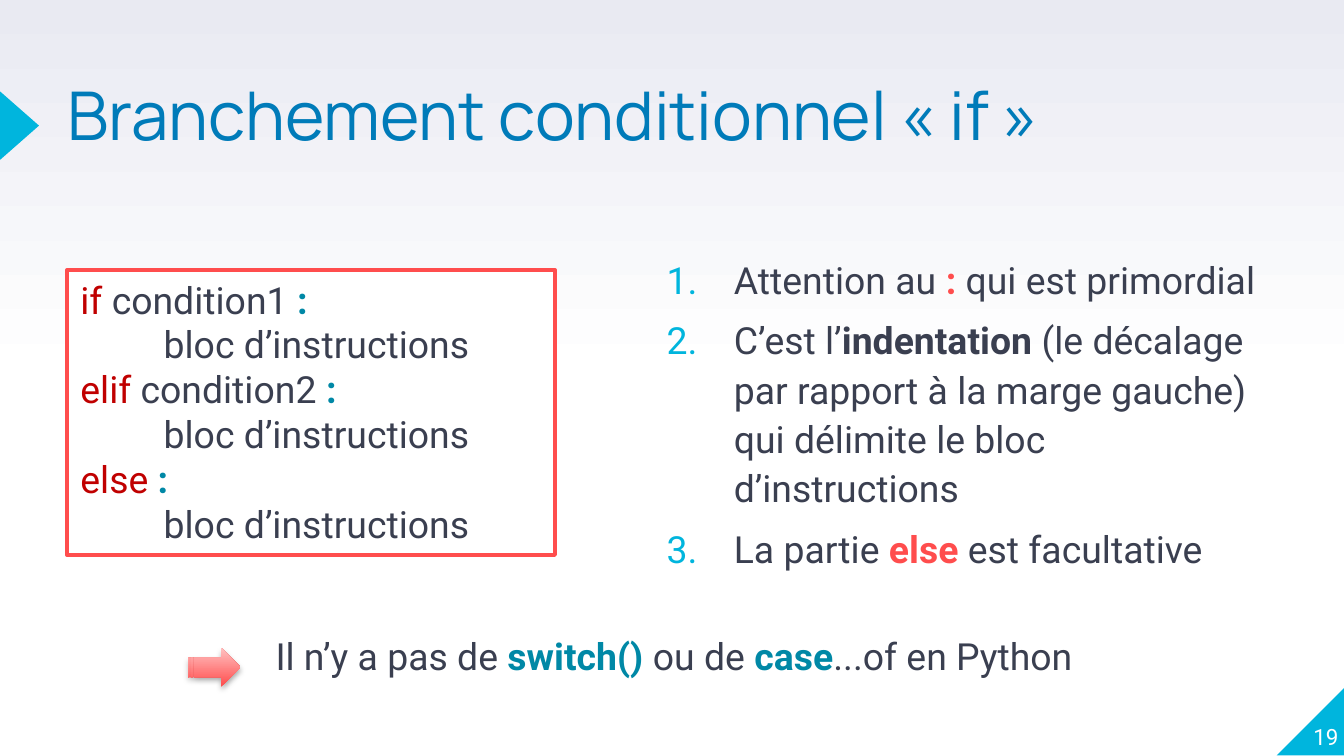
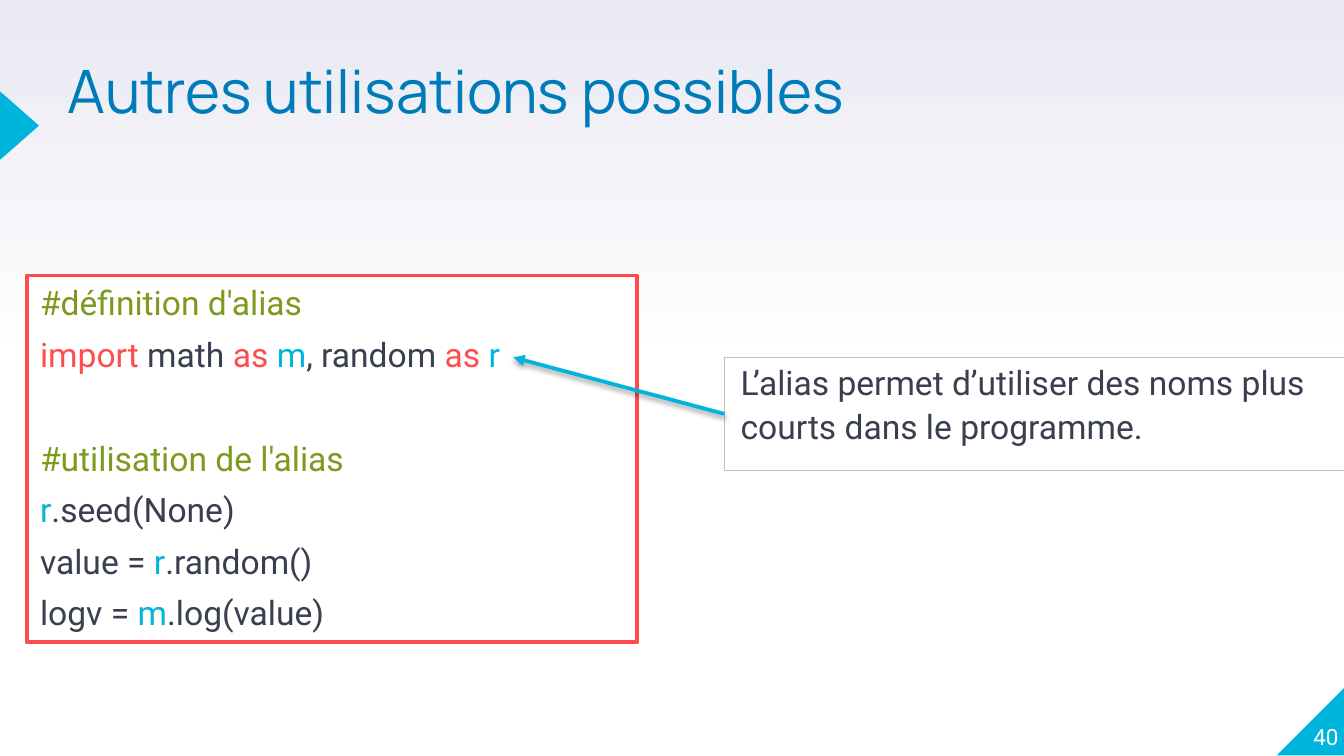
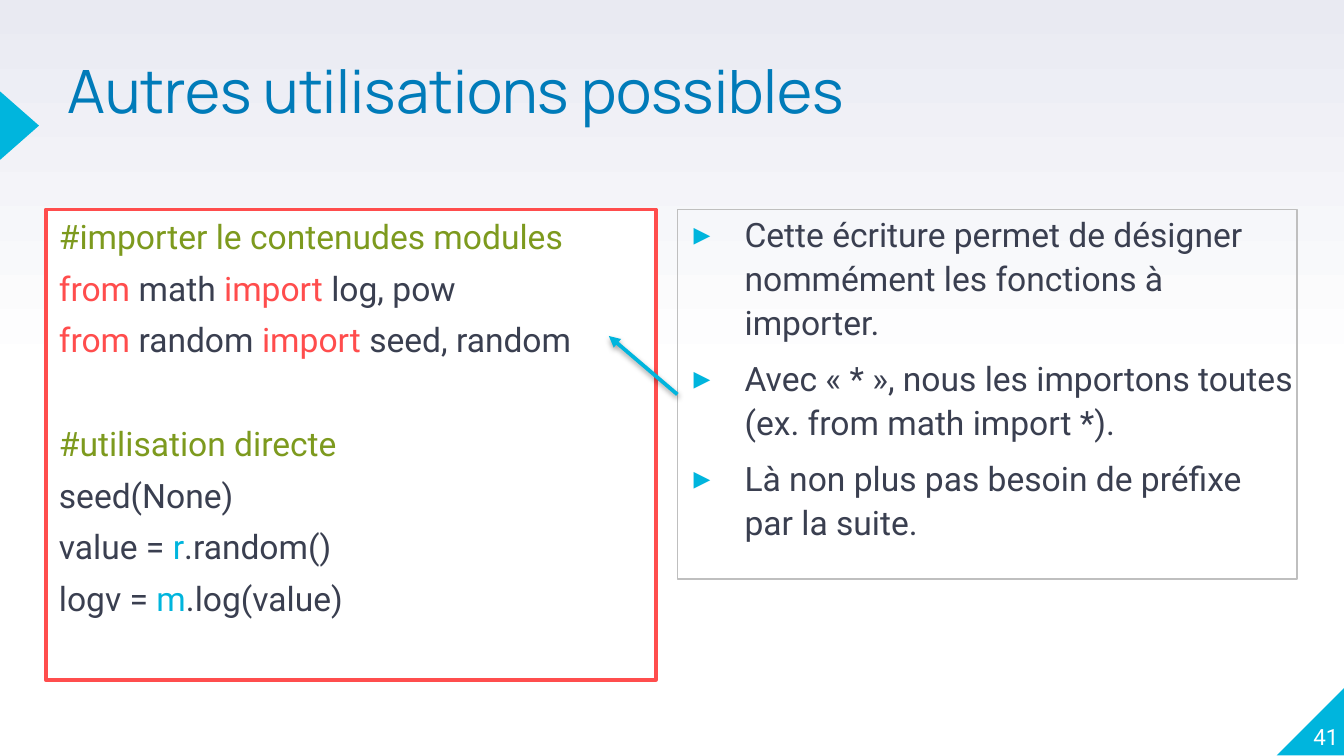
from dataclasses import dataclass

from lxml.etree import SubElement
from pptx import Presentation
from pptx.dml.color import RGBColor
from pptx.enum.shapes import MSO_CONNECTOR, MSO_SHAPE
from pptx.enum.text import MSO_ANCHOR, PP_ALIGN
from pptx.oxml.ns import qn
from pptx.util import Emu, Pt

PX = 4572  # EMU, 200 px to the inch

COLOURS = {
    "white": "FFFFFF",
    "mist": "E9EAF2",
    "cyan": "00B5DD",
    "teal": "0088A6",
    "blue": "007BB9",
    "ink": "3A3F50",
    "red": "FF4D4D",
    "pink": "FFC2C2",
    "crimson": "C00000",
    "green": "7D9A1E",
    "grey": "BFBFBF",
    "black": "000000",
}
TITLE_FONT = "Manrope"
BODY_FONT = "Roboto"
BLOCK_INDENT = 124
BLANK_LINE = 28  # points


@dataclass
class Paragraph:
    """Runs are plain ink strings or (text, colour[, bold]) tuples."""
    runs: tuple
    indent: int = 0
    hang: int = 0
    bullet: str = ""
    before: float = 0
    after: float = 0
    spacing: float = 1.0


def prose(*runs, indent=24, hang=0, bullet=""):
    return Paragraph(runs, indent, hang, bullet, before=6, spacing=1.1)


def code(*runs, before=0):
    return Paragraph(runs, before=before, after=6)


def px(length):
    return Emu(length * PX)


def rgb(colour):
    return RGBColor.from_string(COLOURS[colour])


def fill_gradient(fill, bottom, top, start=0):
    """Fill upwards, keeping the bottom colour as far as start."""
    fill.gradient()
    fill.gradient_angle = 90
    for stop, colour, position in zip(fill.gradient_stops, (bottom, top), (start, 1)):
        stop.color.rgb = rgb(colour)
        stop.position = position


def add_shadow(shape, opacity, distance):
    effects = SubElement(shape._element.spPr, qn("a:effectLst"))
    shadow = SubElement(effects, qn("a:outerShdw"), blurRad=str(Pt(3.1)),
                        dist=str(Pt(distance)), dir="5400000", rotWithShape="0")
    black = SubElement(shadow, qn("a:srgbClr"), val=COLOURS["black"])
    SubElement(black, qn("a:alpha"), val=str(opacity * 1000))


def set_bullet(properties, bullet):
    """Number the paragraph for "1.", otherwise mark it with the character."""
    colour = SubElement(properties, qn("a:buClr"))
    SubElement(colour, qn("a:srgbClr"), val=COLOURS["cyan"])
    SubElement(properties, qn("a:buFont"), typeface=BODY_FONT)
    if bullet == "1.":
        SubElement(properties, qn("a:buAutoNum"), type="arabicPeriod")
    else:
        SubElement(properties, qn("a:buChar"), char=bullet)


def write(shape, paragraphs, size, font=BODY_FONT, inset=(0, 0),
          anchor=MSO_ANCHOR.TOP, align=PP_ALIGN.LEFT):
    frame = shape.text_frame
    frame.word_wrap = True
    frame.vertical_anchor = anchor
    frame.margin_left = frame.margin_right = px(inset[0])
    frame.margin_top = frame.margin_bottom = px(inset[1])
    for index, content in enumerate(paragraphs):
        paragraph = frame.add_paragraph() if index else frame.paragraphs[0]
        paragraph.alignment = align
        paragraph.line_spacing = content.spacing
        paragraph.space_before = Pt(content.before)
        paragraph.space_after = Pt(content.after)
        properties = paragraph._p.get_or_add_pPr()
        properties.set("marL", str(px(content.indent)))
        properties.set("indent", str(px(-content.hang)))
        if content.bullet:
            set_bullet(properties, content.bullet)
        for piece in content.runs:
            text, colour, *bold = (piece, "ink") if isinstance(piece, str) else piece
            run = paragraph.add_run()
            run.text = text
            run.font.name = font
            run.font.size = Pt(size)
            run.font.bold = bool(bold and bold[0])
            run.font.color.rgb = rgb(colour)


def add_shape(slide, kind, at, fill=None, line=None, width=0.75):
    shape = slide.shapes.add_shape(kind, *map(px, at))
    if fill:
        shape.fill.solid()
        shape.fill.fore_color.rgb = rgb(fill)
    else:
        shape.fill.background()
    if line:
        shape.line.color.rgb = rgb(line)
        shape.line.width = Pt(width)
    else:
        shape.line.fill.background()
    shape.shadow.inherit = False
    return shape


def add_text(slide, at, paragraphs, size, **options):
    write(slide.shapes.add_textbox(*map(px, at)), paragraphs, size, **options)


def add_code(slide, at, paragraphs, size):
    frame = add_shape(slide, MSO_SHAPE.RECTANGLE, at, "white", "red", 2)
    write(frame, paragraphs, size, inset=(20, 10))


def add_remark(slide, at, paragraphs):
    remark = add_shape(slide, MSO_SHAPE.RECTANGLE, at, line="grey")
    write(remark, paragraphs, 18)
    return remark


def add_pointer(slide, remark, tip):
    """Draw an arrow from the left side of the remark to the code."""
    pointer = slide.shapes.add_connector(MSO_CONNECTOR.STRAIGHT, 0, 0, *map(px, tip))
    pointer.begin_connect(remark, 1)
    pointer.line.color.rgb = rgb("cyan")
    pointer.line.width = Pt(2)
    SubElement(pointer.line._get_or_add_ln(), qn("a:tailEnd"), type="triangle")
    add_shadow(pointer, 38, 1.6)


def add_striped_arrow(slide, at):
    arrow = slide.shapes.add_shape(MSO_SHAPE.STRIPED_RIGHT_ARROW, *map(px, at))
    fill_gradient(arrow.fill, "red", "pink")
    arrow.line.fill.background()
    add_shadow(arrow, 35, 1.8)


def start_slide(deck, title, number, title_at=(100, 100, 1876, 180), title_size=32):
    slide = deck.slides.add_slide(deck.slide_layouts[6])
    fill_gradient(slide.background.fill, "white", "mist", 0.5)
    corner = add_shape(slide, MSO_SHAPE.RIGHT_TRIANGLE, (1900, 1022, 102, 102), "cyan")
    corner._element.spPr.xfrm.set("flipH", "1")
    marker = add_shape(slide, MSO_SHAPE.ISOSCELES_TRIANGLE, (-22, 158, 102, 58), "cyan")
    marker.rotation = 90
    add_text(slide, title_at, [Paragraph(((title, "blue"),), spacing=0.8)],
             title_size, font=TITLE_FONT)
    add_text(slide, (1892, 1014, 100, 102), [Paragraph(((str(number), "white"),))],
             12, anchor=MSO_ANCHOR.BOTTOM, align=PP_ALIGN.RIGHT)
    return slide


def build_if_slide(deck):
    slide = start_slide(deck, "Branchement conditionnel « if »", 19,
                        (100, 132, 1876, 236), 36)
    rules = [
        ("Attention au ", (":", "red", True), " qui est primordial"),
        ("C’est l’", ("indentation", "ink", True),
         " (le décalage par rapport à la marge gauche)"
         " qui délimite le bloc d’instructions"),
        ("La partie ", ("else", "red", True), " est facultative"),
    ]
    add_text(slide, (968, 376, 930, 470),
             [prose(*runs, indent=124, hang=100, bullet="1.") for runs in rules], 20)

    branches = []
    for keyword, condition in (("if", " condition1 "), ("elif", " condition2 "),
                               ("else", " ")):
        branches += [
            Paragraph(((keyword, "crimson"), condition, (":", "teal", True))),
            Paragraph(("bloc d’instructions",), indent=BLOCK_INDENT),
        ]
    add_code(slide, (100, 402, 726, 424), branches, 20)

    add_text(slide, (386, 936, 1402, 158),
             [prose("Il n’y a pas de ", ("switch() ", "teal", True), "ou de ",
                    ("case", "teal", True), "...of en Python")], 20)
    add_striped_arrow(slide, (280, 964, 78, 58))


def build_usage_slides(deck):
    title = "Autres utilisations possibles"
    draw_and_log = [
        code("value = ", ("r", "cyan"), ".random()"),
        code("logv = ", ("m", "cyan"), ".log(value)"),
    ]

    alias = start_slide(deck, title, 40)
    remark = add_remark(alias, (1078, 532, 982, 168), [
        prose("L’alias permet d’utiliser des noms plus courts dans le programme."),
    ])
    add_code(alias, (40, 410, 908, 546), [
        code(("#définition d'alias", "green")),
        code(("import", "red"), " math ", ("as ", "red"), ("m", "cyan"),
             ", random ", ("as ", "red"), ("r", "cyan")),
        code(("#utilisation de l'alias", "green"), before=BLANK_LINE),
        code(("r", "cyan"), ".seed(None)"),
        *draw_and_log,
    ], 18)
    add_pointer(alias, remark, (764, 532))

    direct = start_slide(deck, title, 41)
    remarks = [
        "Cette écriture permet de désigner nommément les fonctions à importer.",
        "Avec « * », nous les importons toutes (ex. from math import *).",
        "Là non plus pas besoin de préfixe par la suite.",
    ]
    remark = add_remark(direct, (1008, 312, 922, 550), [
        prose(text, indent=100, hang=76, bullet="▸") for text in remarks
    ])
    add_code(direct, (68, 312, 908, 700), [
        code(("#importer le contenudes modules", "green")),
        code(("from ", "red"), "math ", ("import", "red"), " log, pow"),
        code(("from ", "red"), "random ", ("import ", "red"), "seed, random"),
        code(("#utilisation directe", "green"), before=BLANK_LINE),
        code("seed(None)"),
        *draw_and_log,
    ], 18)
    add_pointer(direct, remark, (906, 500))


def main():
    deck = Presentation()
    deck.slide_width, deck.slide_height = px(2000), px(1125)
    build_if_slide(deck)
    build_usage_slides(deck)
    deck.save("out.pptx")


if __name__ == "__main__":
    main()
